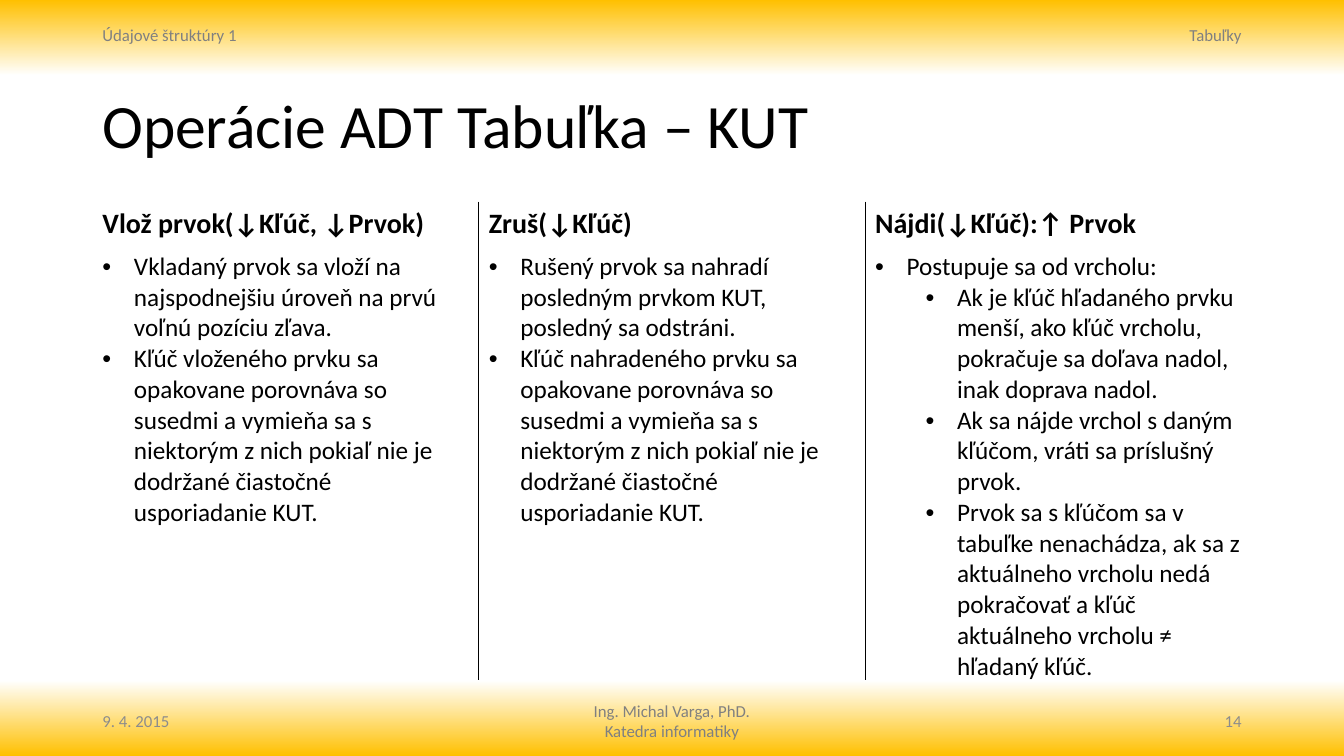
import dataclasses

import lxml.etree
import pptx
import pptx.dml.color
import pptx.enum.text
import pptx.oxml
import pptx.oxml.ns
import pptx.util

Pt = pptx.util.Pt
ALIGN = pptx.enum.text.PP_ALIGN
ANCHOR = pptx.enum.text.MSO_ANCHOR
NO_TABLE_STYLE = "{2D5ABB26-0587-4C30-8999-92F81FD0307C}"


@dataclasses.dataclass(frozen=True)
class Theme:
    font: str = "Calibri"
    ink: str = "000000"
    paper: str = "FFFFFF"
    accent: str = "FFC000"
    running: str = "808080"
    footer: str = "8C8C8C"
    title_size: float = 44
    heading_size: float = 20
    body_size: float = 18
    small_size: float = 12


def apply(target, values):
    for name, value in values.items():
        setattr(target, name, value)


def add_xml(parent, tag, **attributes):
    return lxml.etree.SubElement(parent, pptx.oxml.ns.qn(tag), attributes)


class Deck:
    def __init__(self, theme):
        self.theme = theme
        self.presentation = pptx.Presentation()
        apply(self.presentation, {"slide_width": Pt(960), "slide_height": Pt(540)})
        self.slide = self.presentation.slides.add_slide(self.presentation.slide_layouts[6])

    def background(self, stops):
        """Fill the slide from top to bottom; stops are (percent, colour) pairs."""
        fill = self.slide.background.fill
        fill.gradient()
        fill.gradient_angle = 270
        stop_list = self.slide._element.find(".//" + pptx.oxml.ns.qn("a:gsLst"))
        for old_stop in list(stop_list):
            stop_list.remove(old_stop)
        for percent, color in stops:
            stop = add_xml(stop_list, "a:gs", pos=str(percent * 1000))
            add_xml(stop, "a:srgbClr", val=color)

    def run(self, paragraph, text, size, color, bold=False):
        run = paragraph.add_run()
        run.text = text
        apply(run.font, {"name": self.theme.font, "size": Pt(size), "bold": bold})
        run.font.color.rgb = pptx.dml.color.RGBColor.from_string(color)

    def text(self, box, lines, size, color, anchor=ANCHOR.TOP, **paragraph_format):
        frame = self.slide.shapes.add_textbox(*map(Pt, box)).text_frame
        apply(frame, {"word_wrap": True, "vertical_anchor": anchor})
        for index, line in enumerate(lines):
            paragraph = frame.add_paragraph() if index else frame.paragraphs[0]
            apply(paragraph, paragraph_format)
            self.run(paragraph, line, size, color)

    def bullet(self, paragraph, level, text):
        paragraph.level = level
        properties = paragraph._p.get_or_add_pPr()
        left = 58.5 if level == 2 else 22.5
        properties.set("marL", str(Pt(left)))
        properties.set("indent", str(-Pt(22.5)))
        add_xml(properties, "a:buFont", typeface="Arial")
        add_xml(properties, "a:buChar", char="•")
        self.run(paragraph, text, self.theme.body_size, self.theme.ink)

    def side_borders(self, cell, sides):
        properties = cell._tc.get_or_add_tcPr()
        for position, side in enumerate(sides):
            line = add_xml(properties, "a:ln" + side, w=str(Pt(1)))
            add_xml(add_xml(line, "a:solidFill"), "a:srgbClr", val=self.theme.ink)
            properties.insert(position, line)

    def operations_table(self, box, row_heights, operations):
        """Draw one column per operation: its signature above its bulleted steps."""
        count = len(operations)
        table = self.slide.shapes.add_table(2, count, *map(Pt, box)).table
        apply(table, {"first_row": False, "horz_banding": False})
        table._tbl.tblPr.find(pptx.oxml.ns.qn("a:tableStyleId")).text = NO_TABLE_STYLE
        for row, height in zip(table.rows, row_heights):
            row.height = Pt(height)
        for column, (signature, steps) in enumerate(operations):
            table.columns[column].width = Pt(box[2] / count)
            heading, body = table.cell(0, column), table.cell(1, column)
            self.run(heading.text_frame.paragraphs[0], signature,
                     self.theme.heading_size, self.theme.ink, bold=True)
            for index, (level, step) in enumerate(steps):
                frame = body.text_frame
                self.bullet(frame.add_paragraph() if index else frame.paragraphs[0], level, step)
            sides = ["L"] * (column > 0) + ["R"] * (column < count - 1)
            for cell in (heading, body):
                if cell is heading or column == count - 1:
                    cell.fill.solid()
                    cell.fill.fore_color.rgb = pptx.dml.color.RGBColor.from_string(self.theme.paper)
                else:
                    cell.fill.background()
                self.side_borders(cell, sides)


REORDER = ("prvku sa opakovane porovnáva so susedmi a vymieňa sa "
           "s niektorým z nich pokiaľ nie je dodržané čiastočné usporiadanie KUT.")
OPERATIONS = [
    ("Vlož prvok(↓Kľúč, ↓Prvok)", [
        (0, "Vkladaný prvok sa vloží na najspodnejšiu úroveň na prvú voľnú pozíciu zľava."),
        (0, "Kľúč vloženého " + REORDER),
    ]),
    ("Zruš(↓Kľúč)", [
        (0, "Rušený prvok sa nahradí posledným prvkom KUT, posledný sa odstráni."),
        (0, "Kľúč nahradeného " + REORDER),
    ]),
    ("Nájdi(↓Kľúč):↑ Prvok", [
        (1, "Postupuje sa od vrcholu:"),
        (2, "Ak je kľúč hľadaného prvku menší, ako kľúč vrcholu, "
            "pokračuje sa doľava nadol, inak doprava nadol."),
        (2, "Ak sa nájde vrchol s daným kľúčom, vráti sa príslušný prvok."),
        (2, "Prvok sa s kľúčom sa v tabuľke nenachádza, ak sa z aktuálneho vrcholu nedá "
            "pokračovať a kľúč aktuálneho vrcholu ≠ hľadaný kľúč."),
    ]),
]


def main():
    theme = Theme()
    deck = Deck(theme)
    deck.background([(0, theme.accent), (10, theme.paper), (90, theme.paper), (100, theme.accent)])

    left, width, corner = 66, 828, 216
    right = left + width - corner
    small = theme.small_size
    deck.text((342.75, 496.8, 274.5, 36), ["Ing. Michal Varga, PhD.", "Katedra informatiky"],
              small, theme.running, alignment=ALIGN.CENTER)
    for x, alignment, course_part, footer in (
            (left, ALIGN.LEFT, "Údajové štruktúry 1", "9. 4. 2015"),
            (right, ALIGN.RIGHT, "Tabuľky", "14")):
        deck.text((x, 14.4, corner, 22), [course_part], small, theme.running, alignment=alignment)
        deck.text((x, 500.5, corner, 28.75), [footer], small, theme.footer,
                  ANCHOR.MIDDLE, alignment=alignment)
    deck.text((left, 50.4, width, 82.8), ["Operácie ADT Tabuľka – KUT"],
              theme.title_size, theme.ink, ANCHOR.MIDDLE, line_spacing=0.9)
    deck.operations_table((left, 144, width, 341), (32, 309), OPERATIONS)
    deck.presentation.save("out.pptx")


if __name__ == "__main__":
    main()
